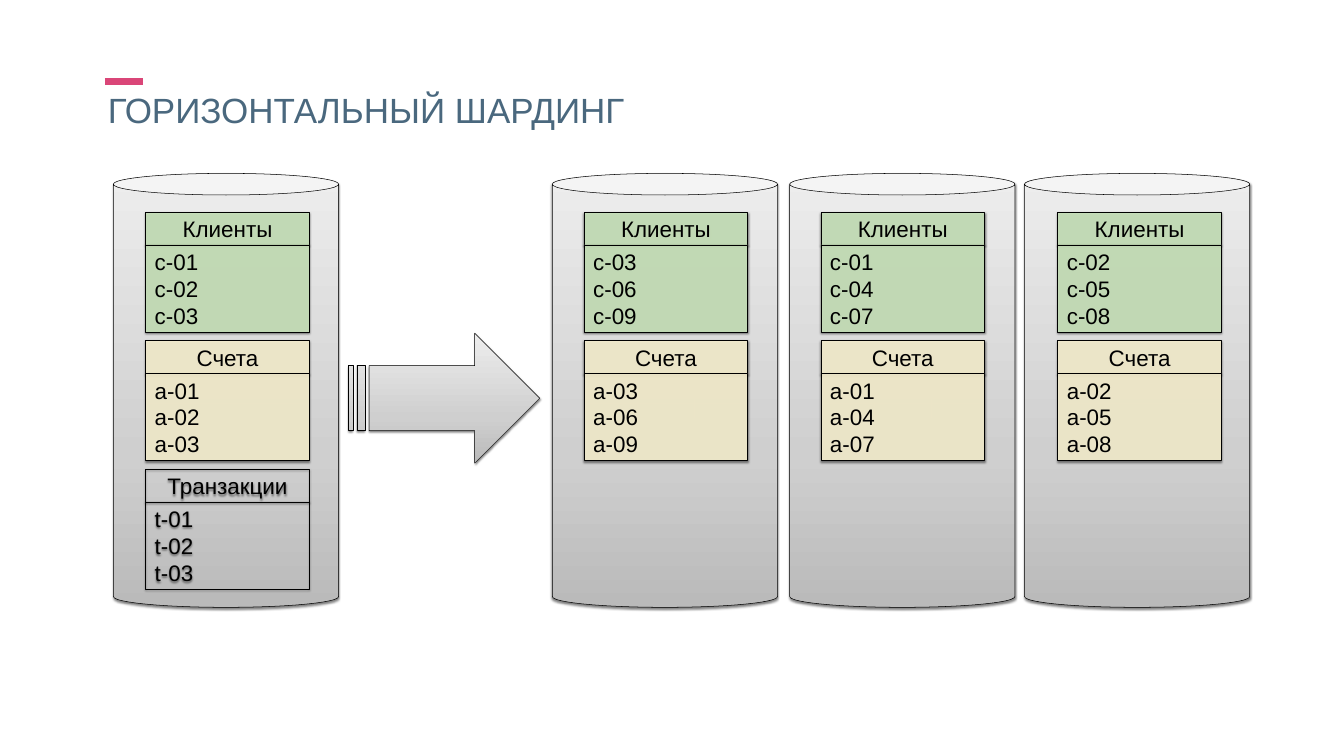
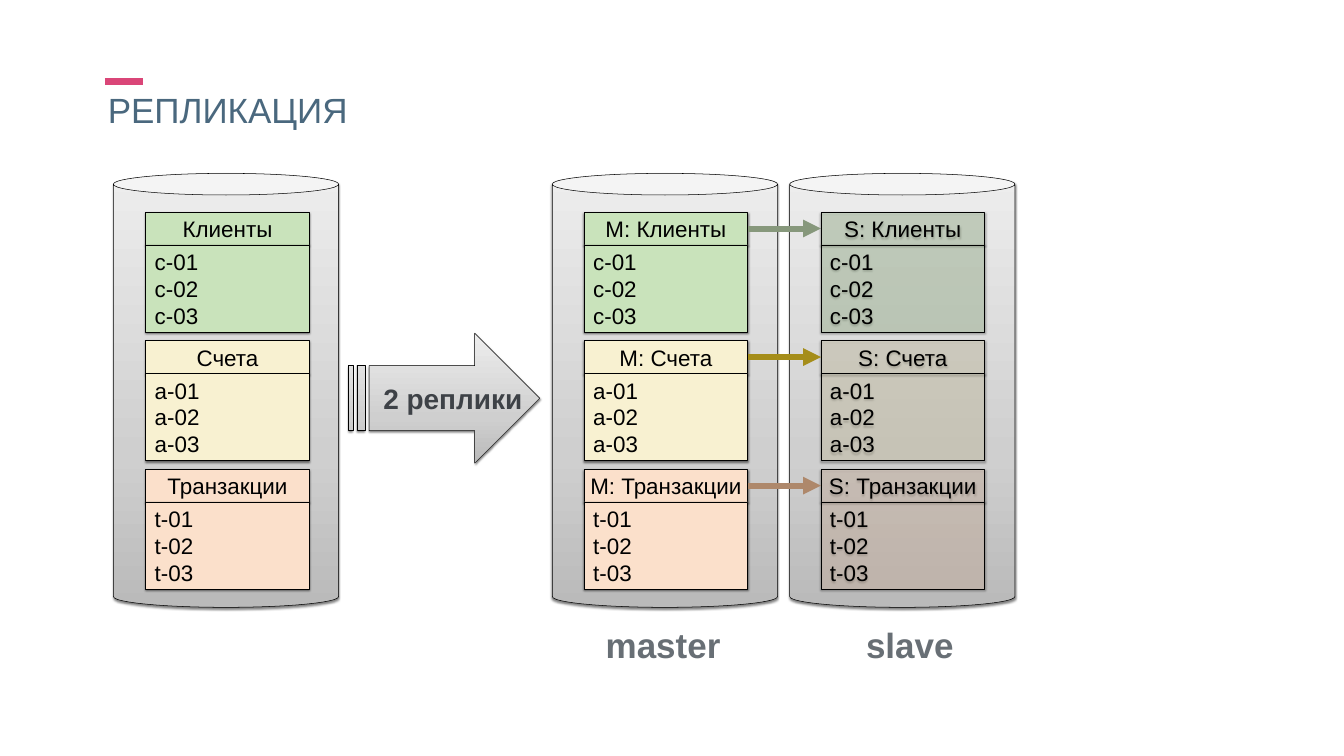
from copy import deepcopy
from lxml import etree
from pptx import Presentation
from pptx import util as u
from pptx.dml.color import RGBColor
from pptx.enum import shapes, text
from pptx.oxml import ns

INK = "000000"
STEEL = [(0, "BABABA"), (0.35, "CFCFCF"), (1, "EDEDED")]
GREEN, CREAM, PEACH = "C9E3BB", "F8F1D1", "FBE0CB"
CELL_FONT = {"size": 32}
TITLE_FONT = {"size": 50, "color": "4A687E"}
LABEL_FONT = {"size": 50, "color": "686F75", "bold": True}
ARROW_FONT = {"size": 40, "color": "3E4247", "bold": True}
CENTER, LEFT = text.PP_ALIGN.CENTER, text.PP_ALIGN.LEFT

CAN_TOP, CAN_WIDTH, CAN_HEIGHT = 3.44, 4.47, 8.61
TABLE_TOP, TABLE_STEP, TABLE_WIDTH = 4.21, 2.55, 3.25
HEADER_HEIGHT, ROWS_HEIGHT = 0.65, 1.73
CAN_LEFTS = [2.25, 10.96, 15.67, 20.33]
TABLE_LEFTS = [2.89, 11.59, 16.29, 20.99]
TABLES = [("Клиенты", "c"), ("Счета", "a"), ("Транзакции", "t")]

FIRST_THREE = ["01", "02", "03"]
SLIDES = [
    {
        "title": "ГОРИЗОНТАЛЬНЫЙ ШАРДИНГ",
        "fills": [GREEN, CREAM, None],
        "cans": [
            {"tables": 3, "rows": FIRST_THREE, "alpha": 90},
            {"tables": 2, "rows": ["03", "06", "09"], "alpha": 90},
            {"tables": 2, "rows": ["01", "04", "07"], "alpha": 90},
            {"tables": 2, "rows": ["02", "05", "08"], "alpha": 90},
        ],
        "labels": [],
        "links": [],
    },
    {
        "title": "РЕПЛИКАЦИЯ",
        "fills": [GREEN, CREAM, PEACH],
        "cans": [
            {"tables": 3, "rows": FIRST_THREE, "alpha": 100},
            {"tables": 3, "rows": FIRST_THREE, "alpha": 100, "prefix": "M: "},
            {"tables": 3, "rows": FIRST_THREE, "alpha": 40, "prefix": "S: "},
        ],
        "labels": [
            ("master ", (11.57, 12.32, 3.37, 0.95), LABEL_FONT),
            ("slave", (16.37, 12.32, 3.37, 0.95), LABEL_FONT),
            ("2 реплики", (7.3, 7.51, 3.37, 0.79), ARROW_FONT),
        ],
        "links": ["87987C", "A58D1A", "AE886B"],
    },
]


def add_block(parent, kind, at, fill, alpha=100, line_width=0.75):
    block = parent.add_shape(kind, *map(u.Inches, at))
    properties = block._element.spPr
    if fill is STEEL:
        block.fill.gradient()
        block.fill.gradient_angle = 90
        stops = properties.find(".//" + ns.qn("a:gsLst"))
        stops.append(deepcopy(stops[0]))
        for stop, (position, color) in zip(block.fill.gradient_stops, STEEL):
            stop.position = position
            stop.color.rgb = RGBColor.from_string(color)
    elif fill:
        block.fill.solid()
        block.fill.fore_color.rgb = RGBColor.from_string(fill)
        if alpha < 100:
            color = properties.find(ns.qn("a:solidFill"))[0]
            etree.SubElement(color, ns.qn("a:alpha"), val=str(alpha * 1000))
    else:
        block.fill.background()
    block.line.color.rgb = RGBColor.from_string(INK)
    block.line.width = u.Pt(line_width)
    block.shadow.inherit = False
    shadow = etree.SubElement(
        properties.find(ns.qn("a:effectLst")), ns.qn("a:outerShdw"),
        blurRad=str(u.Pt(3)), dist=str(u.Pt(2)), dir="5400000", rotWithShape="0")
    color = etree.SubElement(shadow, ns.qn("a:srgbClr"), val=INK)
    etree.SubElement(color, ns.qn("a:alpha"), val="50000")
    return block


def write(box, lines, font, align, anchor=text.MSO_ANCHOR.MIDDLE, left=0.06):
    frame = box.text_frame
    frame.word_wrap = True
    frame.auto_size = text.MSO_AUTO_SIZE.NONE
    frame.vertical_anchor = anchor
    frame.margin_left = u.Inches(left)
    frame.margin_right = frame.margin_top = frame.margin_bottom = u.Inches(0.06)
    for index, line in enumerate(lines):
        para = frame.add_paragraph() if index else frame.paragraphs[0]
        para.alignment = align
        span = para.add_run()
        span.text = line
        span.font.color.rgb = RGBColor.from_string(font.get("color", INK))
        values = {"name": "Arial", "size": u.Pt(font["size"]), "bold": font.get("bold", False)}
        for name, value in values.items():
            setattr(span.font, name, value)


deck = Presentation()
deck.slide_width, deck.slide_height = u.Inches(26.67), u.Inches(15)

for content in SLIDES:
    page = deck.slides.add_slide(deck.slide_layouts[5])
    title = page.shapes.title
    title.left, title.top, title.width, title.height = map(u.Inches, (2.08, 1.85, 22.05, 0.79))
    write(title, [content["title"]], TITLE_FONT, LEFT, text.MSO_ANCHOR.TOP)
    title.text_frame.paragraphs[0].line_spacing = 0.8

    dash = page.shapes.add_connector(
        shapes.MSO_CONNECTOR.STRAIGHT, *map(u.Inches, (2.08, 1.62, 2.84, 1.62)))
    dash.line.color.rgb = RGBColor.from_string("DA4678")
    dash.line.width = u.Pt(11)
    etree.SubElement(dash._element.spPr, ns.qn("a:effectLst"))

    headers = []
    for can_left, table_left, can in zip(CAN_LEFTS, TABLE_LEFTS, content["cans"]):
        cylinder = add_block(page.shapes, shapes.MSO_SHAPE.CAN,
                             (can_left, CAN_TOP, CAN_WIDTH, CAN_HEIGHT), STEEL)
        cylinder.adjustments[0] = 0.096
        can_headers = []
        for index in range(can["tables"]):
            name, letter = TABLES[index]
            fill = content["fills"][index]
            top = TABLE_TOP + index * TABLE_STEP
            group = page.shapes.add_group_shape()
            header = add_block(group.shapes, shapes.MSO_SHAPE.RECTANGLE,
                               (table_left, top, TABLE_WIDTH, HEADER_HEIGHT),
                               fill, can["alpha"], 1)
            write(header, [can.get("prefix", "") + name], CELL_FONT, CENTER)
            rows = add_block(group.shapes, shapes.MSO_SHAPE.RECTANGLE,
                             (table_left, top + HEADER_HEIGHT, TABLE_WIDTH, ROWS_HEIGHT),
                             fill, can["alpha"], 1)
            write(rows, [f"{letter}-{number}" for number in can["rows"]],
                  CELL_FONT, LEFT, left=0.18)
            can_headers.append(header)
        headers.append(can_headers)

    arrow = add_block(page.shapes, shapes.MSO_SHAPE.STRIPED_RIGHT_ARROW,
                      (6.92, 6.61, 3.79, 2.58), STEEL)
    arrow.adjustments[0] = arrow.adjustments[1] = 0.5

    for label, at, font in content["labels"]:
        box = page.shapes.add_textbox(*map(u.Inches, at))
        write(box, [label], font, CENTER)

    for color, master, replica in zip(content["links"], headers[1], headers[2]):
        link = page.shapes.add_connector(shapes.MSO_CONNECTOR.STRAIGHT, 0, 0, 0, 0)
        link.begin_connect(master, 3)
        link.end_connect(replica, 1)
        link.line.color.rgb = RGBColor.from_string(color)
        link.line.width = u.Pt(8.5)
        etree.SubElement(link.line._get_or_add_ln(), ns.qn("a:tailEnd"), type="triangle")
        etree.SubElement(link._element.spPr, ns.qn("a:effectLst"))

deck.save("out.pptx")
